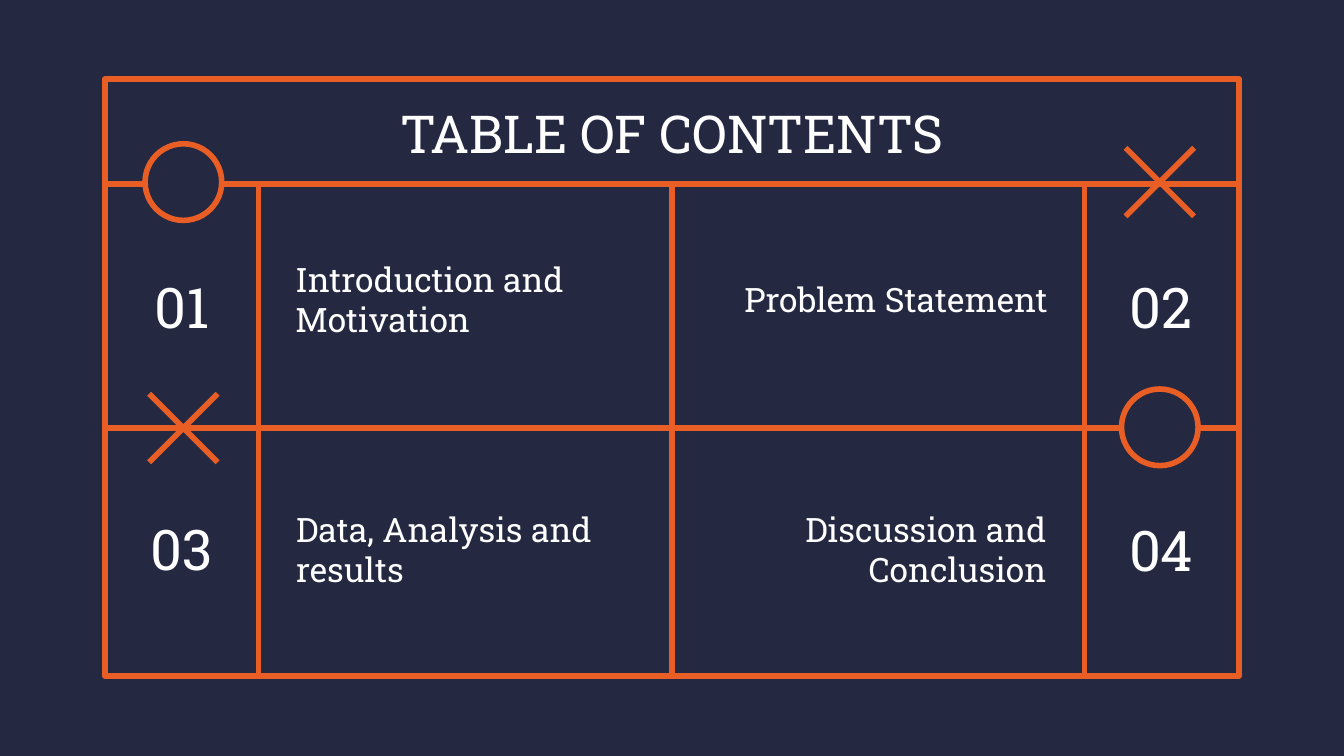
import pptx
import pptx.util
from pptx.dml.color import RGBColor
from pptx.enum.shapes import MSO_CONNECTOR, MSO_SHAPE
from pptx.enum.text import MSO_ANCHOR, PP_ALIGN
from pptx.oxml.ns import qn
import lxml.etree

PX = 4572  # 200 px to the inch
NAVY = RGBColor(0x24, 0x28, 0x41)
ORANGE = RGBColor(0xE9, 0x5E, 0x24)
WHITE = RGBColor(0xFF, 0xFF, 0xFF)
FONT = "Roboto Slab"
LEFT, TOP, WIDTH, HEIGHT = 156, 118, 1688, 888
RIGHT, BOTTOM = LEFT + WIDTH, TOP + HEIGHT
HEAD, MID = 274, 637
CROSS, RING = 102, 114

deck = pptx.Presentation()
deck.slide_width, deck.slide_height = 2000 * PX, 1125 * PX
slide = deck.slides.add_slide(deck.slide_layouts[6])
slide.background.fill.solid()
slide.background.fill.fore_color.rgb = NAVY
shapes = slide.shapes


def add_line(x1, y1, x2, y2):
    line = shapes.add_connector(
        MSO_CONNECTOR.STRAIGHT, x1 * PX, y1 * PX, x2 * PX, y2 * PX)
    line.line.color.rgb = ORANGE
    line.line.width = pptx.util.Pt(3)
    lxml.etree.SubElement(line._element.spPr, qn("a:effectLst"))
    return line


def add_text(x, y, w, h, text, size, align):
    box = shapes.add_textbox(x * PX, y * PX, w * PX, h * PX)
    frame = box.text_frame
    frame.word_wrap = True
    frame.vertical_anchor = MSO_ANCHOR.MIDDLE
    frame.margin_left = frame.margin_right = 20 * PX
    frame.margin_top = frame.margin_bottom = 20 * PX
    frame.text = text
    para = frame.paragraphs[0]
    para.alignment = align
    font = para.runs[0].font
    font.name, font.size = FONT, pptx.util.Pt(size)
    font.color.rgb = WHITE
    return para


# Frame and grid
frame = shapes.add_shape(
    MSO_SHAPE.RECTANGLE, LEFT * PX, TOP * PX, WIDTH * PX, HEIGHT * PX)
frame.shadow.inherit = False
frame.fill.background()
frame.line.color.rgb = ORANGE
frame.line.width = pptx.util.Pt(3)
for y in (HEAD, MID):
    add_line(LEFT, y, RIGHT, y)
for x in (385, 1614):
    add_line(x, BOTTOM, x, HEAD)
add_line(1000, BOTTOM, 1000, HEAD).begin_connect(frame, 2)

# Title and topics
add_text(LEFT, 134, WIDTH, 126, "TABLE OF CONTENTS", 28, PP_ALIGN.CENTER)
topics = [
    ("01", 180, 398, "Introduction and Motivation", 420, 388, PP_ALIGN.LEFT),
    ("02", 1636, 398, "Problem Statement", 1043, 388, PP_ALIGN.RIGHT),
    ("03", 179, 758, "Data, Analysis and results", 421, 760, PP_ALIGN.LEFT),
    ("04", 1637, 760, "Discussion and Conclusion", 1041, 760, PP_ALIGN.RIGHT),
]
for num, num_x, num_y, topic, x, y, align in topics:
    add_text(num_x, num_y, 182, 114, num, 30, PP_ALIGN.CENTER)
    para = add_text(x, y, 536, 114, topic, 18, align)
    para.space_after = pptx.util.Pt(12)

# Crosses and rings where the grid lines meet the number columns
for x, y in ((1675, 220), (222, 586)):
    add_line(x, y, x + CROSS, y + CROSS)
    add_line(x + CROSS, y, x, y + CROSS)
for x, y in ((216, 214), (1669, 579)):
    ring = shapes.add_shape(
        MSO_SHAPE.OVAL, x * PX, y * PX, RING * PX, RING * PX)
    ring.shadow.inherit = False
    ring.fill.solid()
    ring.fill.fore_color.rgb = NAVY
    ring.line.color.rgb = ORANGE
    ring.line.width = pptx.util.Pt(3)

deck.save("out.pptx")
